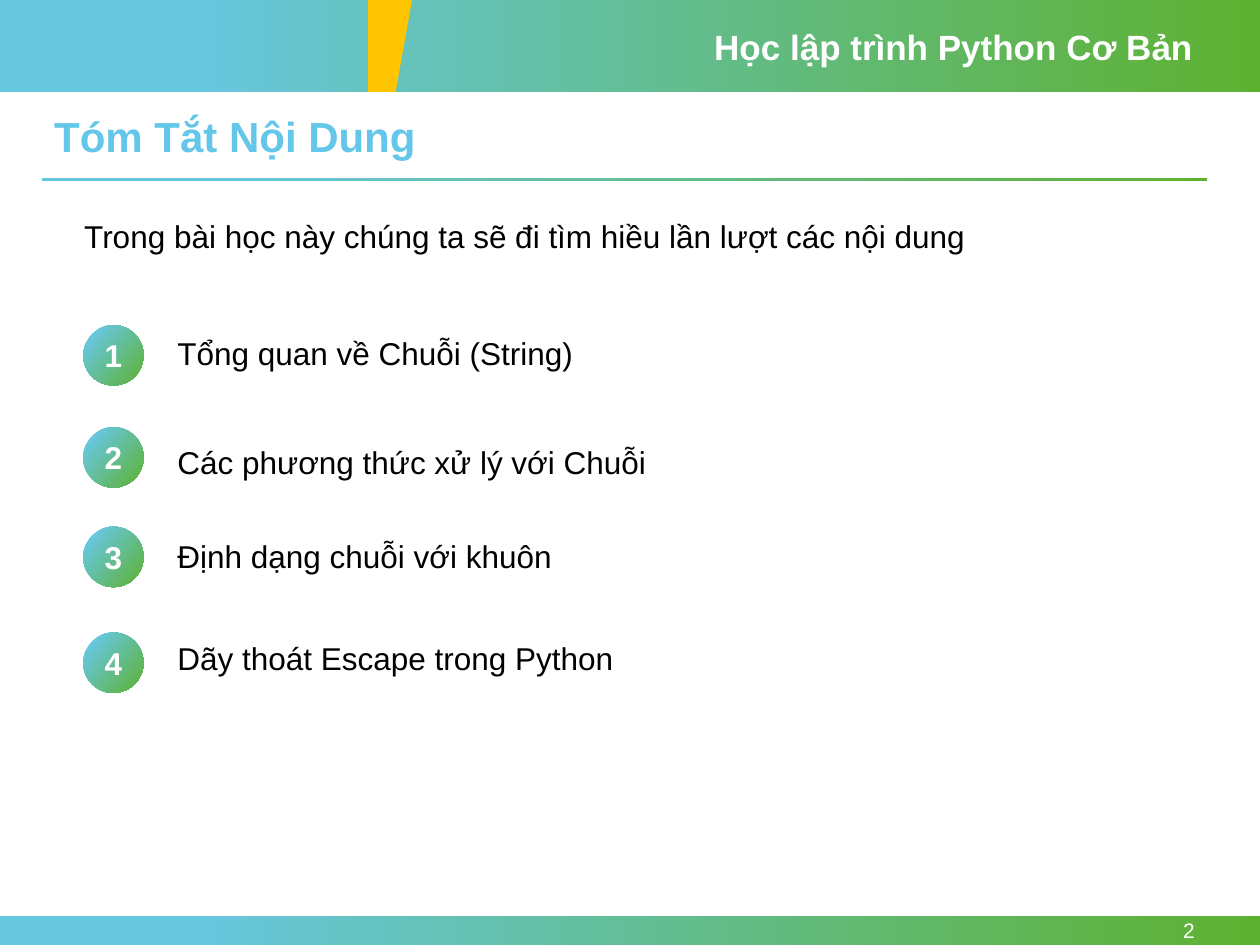
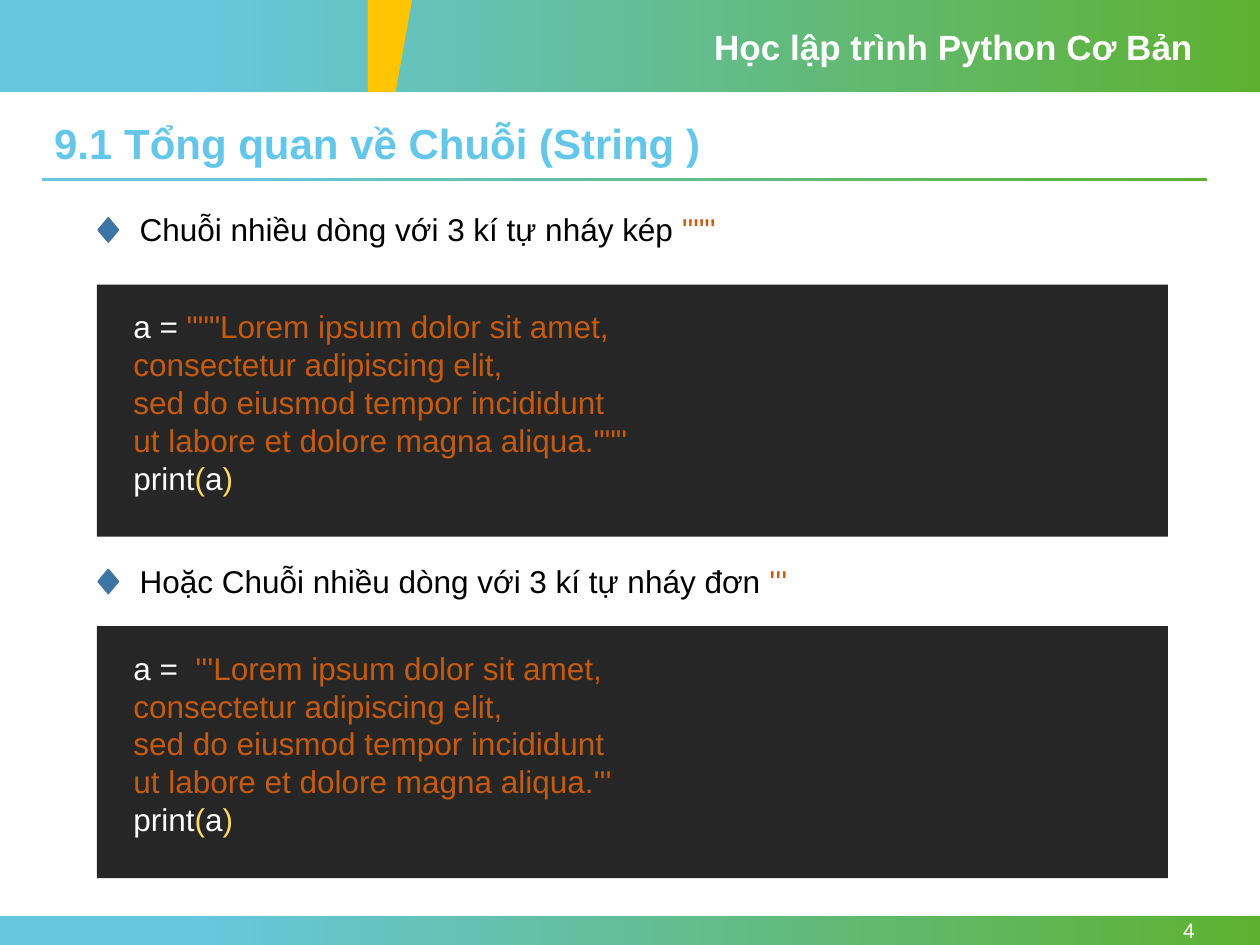
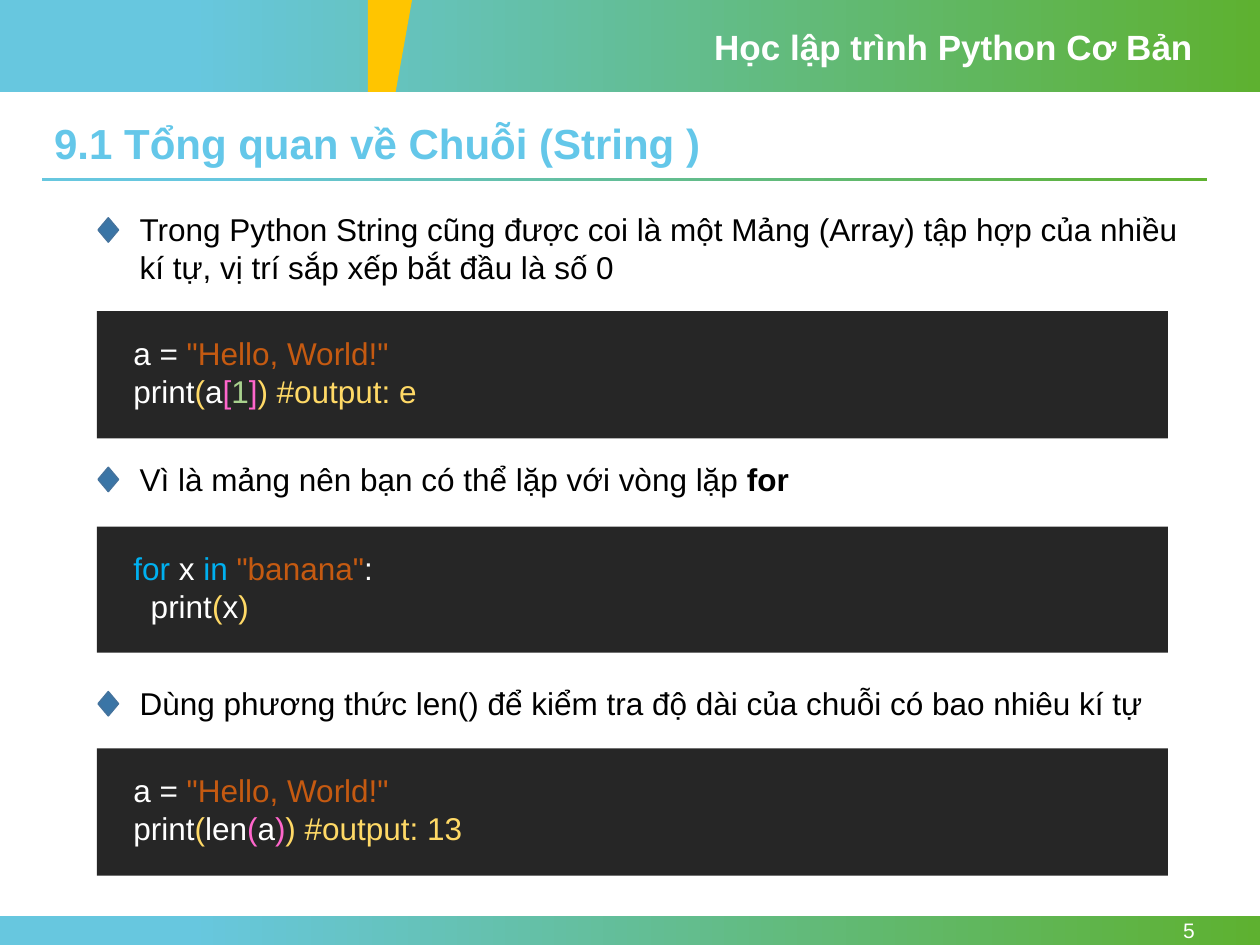
from pptx import Presentation
from pptx import util as u
from pptx.dml import color
from pptx.enum import shapes, text

COLORS = {
    "sky": "67C7DF", "green": "5EB130", "amber": "FFC500", "title": "64C7E9",
    "white": "FFFFFF", "black": "000000", "panel": "262626",
    "diamond": "3A75A6", "diamond_edge": "43739E",
    "string": "C55A11", "bracket": "FFD966", "inner_bracket": "FF66CC",
    "number": "A9D18E", "keyword": "00B0F0",
}
RGB = {name: color.RGBColor.from_string(value) for name, value in COLORS.items()}
GROW = text.MSO_AUTO_SIZE.SHAPE_TO_FIT_TEXT
FIXED = text.MSO_AUTO_SIZE.NONE
TOP, MIDDLE = text.MSO_ANCHOR.TOP, text.MSO_ANCHOR.MIDDLE
LEFT, CENTER, RIGHT = text.PP_ALIGN.LEFT, text.PP_ALIGN.CENTER, text.PP_ALIGN.RIGHT


def write(shape, runs, frame=None, paragraph=None, font=None):
    text_frame = shape.text_frame
    first = text_frame.paragraphs[0]
    frame_format = {"word_wrap": True, "vertical_anchor": TOP, "auto_size": GROW, **(frame or {})}
    paragraph_format = {"alignment": LEFT, **(paragraph or {})}
    for target, values in ((text_frame, frame_format), (first, paragraph_format)):
        for name, value in values.items():
            setattr(target, name, value)
    for content, color_name, *bold in runs:
        font_format = {"name": "Arial", "size": u.Pt(18), "bold": bool(bold), **(font or {})}
        for index, line in enumerate(content.split("\n")):
            if index:
                first.add_line_break()
            if line:
                run = first.add_run()
                run.text = line
                run.font.color.rgb = RGB[color_name]
                for name, value in font_format.items():
                    setattr(run.font, name, value)


def add_filled(slide, kind, box, fill, angle=0):
    shape = slide.shapes.add_shape(kind, *map(u.Inches, box))
    shape.shadow.inherit = False
    shape.line.fill.background()
    if fill == "gradient":
        shape.fill.gradient()
        shape.fill.gradient_angle = angle
        stops = zip(shape.fill.gradient_stops, ((0.15, "sky"), (1, "green")))
        for stop, (position, name) in stops:
            stop.position = position
            stop.color.rgb = RGB[name]
    else:
        shape.fill.solid()
        shape.fill.fore_color.rgb = RGB[fill]
    return shape


presentation = Presentation()
presentation.slide_width = u.Inches(10)
presentation.slide_height = u.Inches(7.5)
layout = presentation.slide_layouts[5]

pages = [
    ("Tóm Tắt Nội Dung", 0.87, 2),
    ("9.1 Tổng quan về Chuỗi (String )", 0.93, 4),
    ("9.1 Tổng quan về Chuỗi (String )", 0.93, 5),
]
slides = []
for heading, top, number in pages:
    slide = presentation.slides.add_slide(layout)
    slides.append(slide)
    title = slide.shapes.title
    title.left, title.top, title.width, title.height = map(u.Inches, (0.33, top, 9.25, 0.46))
    write(title, [(heading, "title")],
          paragraph={"line_spacing": 0.9, "space_before": u.Pt(10)},
          font={"size": u.Pt(24), "bold": True})
    page_number = slide.shapes.add_textbox(*map(u.Inches, (8.66, 7.27, 0.92, 0.23)))
    write(page_number, [(str(number), "white")],
          frame={"vertical_anchor": MIDDLE, "auto_size": FIXED},
          paragraph={"alignment": RIGHT}, font={"size": u.Pt(12)})

contents, multiline, arrays = slides

shared = [
    add_filled(contents, shapes.MSO_SHAPE.RECTANGLE, box, "gradient")
    for box in ((0, 0, 10, 0.73), (0, 7.27, 10, 0.23), (0.33, 1.41, 9.25, 0.03))
]
course = contents.shapes.add_textbox(*map(u.Inches, (5.57, 0.15, 4, 0.44)))
write(course, [("Học lập trình Python Cơ Bản", "white")],
      font={"size": u.Pt(20), "bold": True})
builder = contents.shapes.build_freeform(u.Inches(2.92), 0)
builder.add_line_segments(
    [(u.Inches(x), u.Inches(y)) for x, y in ((3.27, 0), (3.14, 0.73), (2.92, 0.73))], close=True)
accent = builder.convert_to_shape()
accent.shadow.inherit = False
accent.fill.solid()
accent.fill.fore_color.rgb = RGB["amber"]
accent.line.fill.background()
for shape in [*shared, course, accent]:
    layout.shapes.element.append(shape.element)

intro = contents.shapes.add_textbox(*map(u.Inches, (0.57, 1.67, 9.01, 0.4)))
write(intro, [("Trong bài học này chúng ta sẽ đi tìm hiều lần lượt các nội dung", "black")])
topics = [
    ("Tổng quan về Chuỗi (String)", 2.58, 2.6),
    ("Các phương thức xử lý với Chuỗi", 3.39, 3.47),
    ("Định dạng chuỗi với khuôn", 4.18, 4.21),
    ("Dãy thoát Escape trong Python", 5.02, 5.02),
]
for number, (topic, circle_top, label_top) in enumerate(topics, 1):
    circle = add_filled(contents, shapes.MSO_SHAPE.OVAL,
                        (0.66, circle_top, 0.48, 0.48), "gradient", 320)
    write(circle, [(str(number), "white", True)],
          frame={"word_wrap": False, "vertical_anchor": MIDDLE, "auto_size": FIXED,
                 "margin_left": 0, "margin_right": 0},
          paragraph={"alignment": CENTER})
    label = contents.shapes.add_textbox(*map(u.Inches, (1.31, label_top, 7.09, 0.4)))
    write(label, [(topic, "black")])

lorem = ("Lorem ipsum dolor sit amet,\nconsectetur adipiscing elit,\n"
         "sed do eiusmod tempor incididunt\nut labore et dolore magna aliqua.")
assign = ("a =\u00a0", "white")
print_open = [("print", "white"), ("(", "bracket")]
print_a = [*print_open, ("a", "white"), (")", "bracket")]
hello = [assign, ('"Hello, World!"\n', "string"), *print_open]

sections = [
    (multiline, 1.62, 0.4, 2.26, 2, 1.62,
     [("Chuỗi nhiều dòng với 3 kí tự nháy kép ", "black"), ('"""', "string")],
     [assign, (f'"""{lorem}"""\n', "string"), *print_a]),
    (multiline, 4.41, 0.4, 4.97, 2, 1.62,
     [("Hoặc Chuỗi nhiều dòng với 3 kí tự nháy đơn ", "black"), ("'''", "string")],
     [assign, (f" '''{lorem}'''\n", "string"), *print_a]),
    (arrays, 1.62, 0.71, 2.47, 1.01, 0.71,
     [("Trong Python String cũng được coi là một Mảng (Array) tập hợp của nhiều "
       "kí tự, vị trí sắp xếp bắt đầu là số 0", "black")],
     [*hello, ("a", "white"), ("[", "inner_bracket"), ("1", "number"),
      ("]", "inner_bracket"), (") #output: e", "bracket")]),
    (arrays, 3.6, 0.4, 4.18, 1, 0.71,
     [("Vì là mảng nên bạn có thể lặp với vòng lặp ", "black"), ("for", "black", True)],
     [("for", "keyword"), ("\u00a0x\u00a0", "white"), ("in\u00a0", "keyword"),
      ('"banana"', "string"), (":\n\u00a0\u00a0print", "white"), ("(", "bracket"),
      ("x", "white"), (")", "bracket")]),
    (arrays, 5.38, 0.4, 5.94, 1.01, 0.71,
     [("Dùng phương thức len() để kiểm tra độ dài của chuỗi có bao nhiêu kí tự", "black")],
     [*hello, ("len", "white"), ("(", "inner_bracket"), ("a", "white"),
      (")", "inner_bracket"), (") #output: 13", "bracket")]),
]
for slide, top, height, panel_top, panel_height, code_height, explanation, code in sections:
    note = slide.shapes.add_textbox(*map(u.Inches, (1.01, top, 8.57, height)))
    write(note, explanation)
    diamond = add_filled(slide, shapes.MSO_SHAPE.FLOWCHART_DECISION,
                         (0.78, top + 0.11, 0.16, 0.19), "diamond")
    diamond.line.color.rgb = RGB["diamond_edge"]
    diamond.line.width = u.Pt(1)
    add_filled(slide, shapes.MSO_SHAPE.RECTANGLE, (0.77, panel_top, 8.5, panel_height), "panel")
    listing = slide.shapes.add_textbox(*map(u.Inches, (0.96, panel_top + 0.13, 8.1, code_height)))
    write(listing, code)

presentation.save("out.pptx")
